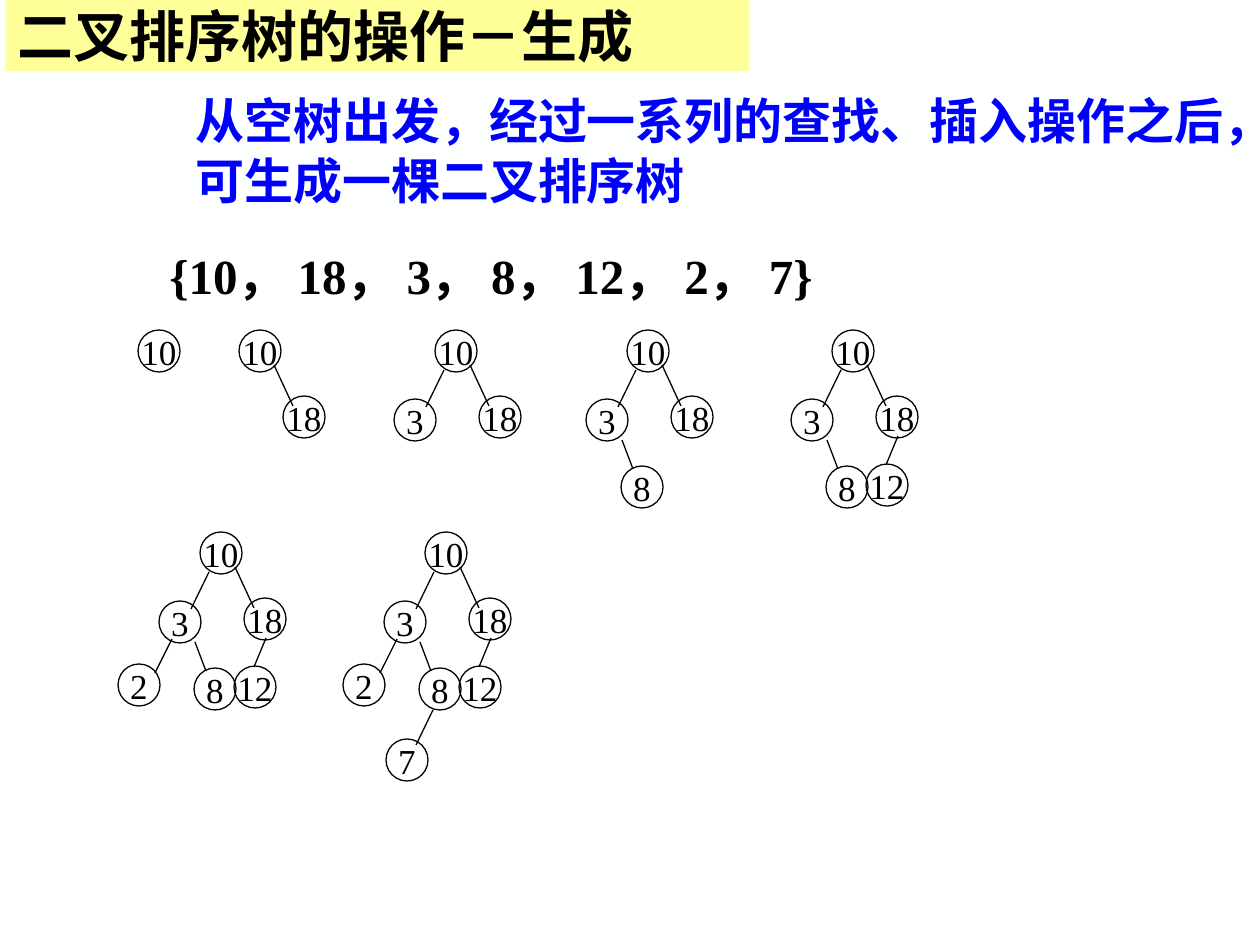
from lxml import etree
from pptx import Presentation
from pptx.dml.color import RGBColor
from pptx.enum.shapes import MSO_CONNECTOR as Connector, MSO_SHAPE as Shape
from pptx.enum.text import MSO_ANCHOR as Anchor, MSO_AUTO_SIZE as AutoSize, PP_ALIGN as Align
from pptx.oxml.ns import qn
from pptx.util import Emu, Pt

BLACK = RGBColor(0x00, 0x00, 0x00)
BLUE = RGBColor(0x00, 0x00, 0xFF)
YELLOW = RGBColor(0xFF, 0xFF, 0x99)
PAPER = RGBColor(0xFE, 0xFF, 0xFF)

PX_PER_INCH = 126
NODE_SIZE = 42

# Key: node offset and edge ends, in px from the top left of the root node
NODES = {
    10: ((0, 0), None),
    18: ((44, 66), (35, 35, 54, 76)),
    3: ((-41, 69), (9, 40, -9, 77)),
    8: ((-6, 136), (-5, 110, 6, 139)),
    12: ((34, 134), (66, 106, 54, 135)),
    2: ((-82, 132), (-28, 107, -45, 141)),
    7: ((-39, 207), (8, 178, -9, 213)),
}
# Root position of the tree after each insertion
ROOTS = [(138, 330), (239, 330), (435, 330), (627, 330), (832, 330),
         (200, 532), (425, 532)]


def px(value):
    return Emu(round(value * 914400 / PX_PER_INCH))


class SlideBuilder:
    TITLE = {"name": "Noto Sans CJK SC", "size": Pt(32), "bold": True}
    BODY = {"name": "Arial", "size": Pt(28), "bold": True}
    SEQUENCE = {"name": "Times New Roman", "size": Pt(28), "bold": True}
    NODE = {"name": "Times New Roman", "size": Pt(20), "bold": False}

    def __init__(self, slide):
        self.slide = slide
        fill = slide.background.fill
        fill.solid()
        fill.fore_color.rgb = PAPER

    def set_text(self, shape, text, style, color=BLACK, align=Align.LEFT,
                 anchor=Anchor.MIDDLE, wrap=True):
        frame = shape.text_frame
        frame.text = text
        settings = {"word_wrap": wrap, "auto_size": AutoSize.NONE,
                    "vertical_anchor": anchor}
        for name, value in settings.items():
            setattr(frame, name, value)
        paragraph = frame.paragraphs[0]
        paragraph.alignment = align
        paragraph.space_before = Pt(0)
        font = paragraph.runs[0].font
        for name, value in style.items():
            setattr(font, name, value)
        font.color.rgb = color
        return paragraph

    def place(self, shape, left, top, width, height):
        box = {"left": left, "top": top, "width": width, "height": height}
        for name, value in box.items():
            setattr(shape, name, px(value))

    def title(self, text, box):
        shape = self.slide.shapes.title
        self.place(shape, *box)
        shape.fill.solid()
        shape.fill.fore_color.rgb = YELLOW
        paragraph = self.set_text(shape, text, self.TITLE)
        properties = paragraph.runs[0]._r.get_or_add_rPr()
        etree.SubElement(properties, qn("a:ea"), typeface=self.TITLE["name"])

    def body(self, text, box):
        shape = self.slide.placeholders[1]
        self.place(shape, *box)
        paragraph = self.set_text(shape, text, self.BODY, BLUE, anchor=Anchor.TOP)
        paragraph.line_spacing = Pt(34)
        properties = paragraph._p.get_or_add_pPr()
        properties.set("marL", "0")
        properties.set("indent", "0")
        etree.SubElement(properties, qn("a:buNone"))

    def sequence(self, text, box):
        shape = self.slide.shapes.add_textbox(*map(px, box))
        self.set_text(shape, text, self.SEQUENCE)

    def node(self, shapes, key, left, top):
        shape = shapes.add_shape(Shape.OVAL, px(left), px(top),
                                 px(NODE_SIZE), px(NODE_SIZE))
        shape.shadow.inherit = False
        shape.fill.background()
        shape.line.color.rgb = BLACK
        shape.line.width = Pt(0.75)
        self.set_text(shape, str(key), self.NODE, align=Align.CENTER, wrap=False)

    def edge(self, shapes, *ends):
        connector = shapes.add_connector(Connector.STRAIGHT, *map(px, ends))
        connector.line.color.rgb = BLACK
        connector.line.width = Pt(0.75)
        etree.SubElement(connector._element.spPr, qn("a:effectLst"))

    def tree(self, keys, left, top):
        shapes = self.slide.shapes
        if len(keys) > 1:
            shapes = shapes.add_group_shape().shapes
        for key in keys:
            (dx, dy), ends = NODES[key]
            self.node(shapes, key, left + dx, top + dy)
            if ends:
                x1, y1, x2, y2 = ends
                self.edge(shapes, left + x1, top + y1, left + x2, top + y2)


def main():
    presentation = Presentation()
    presentation.slide_width = px(1260)
    presentation.slide_height = px(945)
    layout = presentation.slide_layouts[1]
    builder = SlideBuilder(presentation.slides.add_slide(layout))

    # Heading and explanation
    builder.title("二叉排序树的操作－生成", (5, 0, 744, 71))
    builder.body("从空树出发，经过一系列的查找、插入操作之后，可生成一棵二叉排序树",
                 (183, 84, 1060, 131))

    # Keys in order of insertion
    keys = list(NODES)
    builder.sequence("{10， 18， 3， 8， 12， 2， 7}", (157, 242, 1020, 66))

    # One tree per insertion
    for count, root in enumerate(ROOTS, start=1):
        builder.tree(keys[:count], *root)

    presentation.save("out.pptx")


if __name__ == "__main__":
    main()
